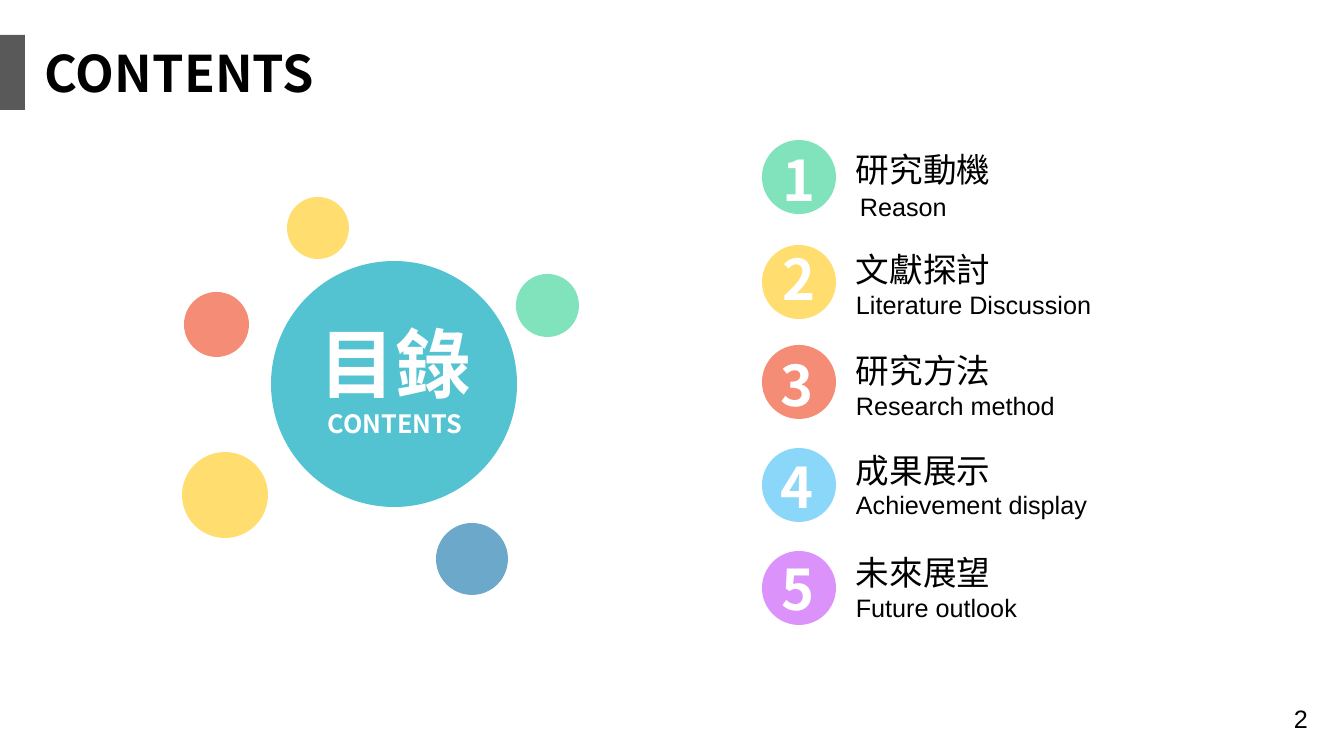
import pptx
import pptx.util
import pptx.dml.color
import pptx.enum.shapes
import pptx.enum.text
import pptx.oxml.ns
import lxml.etree

PX = 914400 / 100.8
HEX = {
    "gray": "595959", "black": "000000", "white": "FFFFFF", "teal": "54C3D1",
    "gold": "FFDE6F", "coral": "F58D76", "mint": "81E3BB", "steel": "6BA8C9",
    "sky": "8AD7FA", "violet": "DB93FB",
}
CJK = "Noto Sans CJK SC"
STYLES = {
    "title": {"name": CJK, "size": 36, "bold": True, "color": "black"},
    "hub": {"name": CJK, "size": 54, "bold": True, "color": "white"},
    "label": {"name": CJK, "size": 18, "bold": True, "color": "white"},
    "number": {"name": CJK, "size": 40, "bold": True, "color": "white"},
    "topic": {"name": CJK, "size": 24, "bold": False, "color": "black"},
    "note": {"name": "Arial", "size": 18, "bold": False, "color": "black"},
}
# left, top, diameter, color
DOTS = [
    (182, 452, 86, "gold"), (184, 292, 65, "coral"), (287, 197, 62, "gold"),
    (516, 274, 63, "mint"), (436, 523, 72, "steel"),
]
# color, disc top, number (left, top), topic, topic top, note, note (left, top, width)
ITEMS = [
    ("mint", 140, (773, 141), "研究動機", 144, "Reason", (850, 186, 108)),
    ("gold", 245, (773, 240), "文獻探討", 244, "Literature Discussion", (846, 284, 258)),
    ("coral", 345, (771, 346), "研究方法", 345, "Research method", (846, 385, 221)),
    ("sky", 448, (771, 448), "成果展示", 445, "Achievement display", (846, 484, 256)),
    ("violet", 551, (772, 550), "未來展望", 547, "Future outlook", (846, 587, 185)),
]
OVAL = pptx.enum.shapes.MSO_SHAPE.OVAL
RECT = pptx.enum.shapes.MSO_SHAPE.RECTANGLE


def emu(*lengths):
    return [pptx.util.Emu(round(n * PX)) for n in lengths]


def tint(name):
    return pptx.dml.color.RGBColor.from_string(HEX[name])


def add_form(shapes, kind, box, color):
    form = shapes.add_shape(kind, *emu(*box))
    form.shadow.inherit = False
    form.fill.solid()
    form.fill.fore_color.rgb = tint(color)
    form.line.fill.background()


def add_text(shapes, text, box, style):
    frame = shapes.add_textbox(*emu(*box)).text_frame
    frame.word_wrap = False
    frame.auto_size = pptx.enum.text.MSO_AUTO_SIZE.SHAPE_TO_FIT_TEXT
    run = frame.paragraphs[0].add_run()
    run.text = text
    look = dict(STYLES[style])
    run.font.color.rgb = tint(look.pop("color"))
    look["size"] = pptx.util.Pt(look["size"])
    for key, value in look.items():
        setattr(run.font, key, value)
    # Chinese glyphs take their face from the East Asian font
    face = lxml.etree.SubElement(run.font._element, pptx.oxml.ns.qn("a:ea"))
    face.set("typeface", look["name"])


def main():
    deck = pptx.Presentation()
    deck.slide_width, deck.slide_height = emu(1344, 756)
    shapes = deck.slides.add_slide(deck.slide_layouts[6]).shapes

    add_form(shapes, RECT, (0, 35, 25, 75), "gray")
    add_text(shapes, "CONTENTS", (35, 37, 305, 71), "title")

    hub = shapes.add_group_shape().shapes
    add_form(hub, OVAL, (271, 261, 246, 246), "teal")
    add_text(hub, "CONTENTS", (318, 403, 162, 40), "label")
    add_text(hub, "目錄", (310, 312, 173, 102), "hub")
    for left, top, size, color in DOTS:
        add_form(shapes, OVAL, (left, top, size, size), color)

    menu = shapes.add_group_shape().shapes
    for index, item in enumerate(ITEMS, 1):
        color, top, spot, topic, line, note, (left, base, width) = item
        add_form(menu, OVAL, (762, top, 74, 74), color)
        add_text(menu, str(index), (*spot, 55, 78), "number")
        add_text(menu, topic, (846, line, 156, 50), "topic")
        add_text(menu, note, (left, base, width, 40), "note")

    add_text(shapes, "2", (1284, 698, 35, 40), "note")
    deck.save("out.pptx")


if __name__ == "__main__":
    main()
